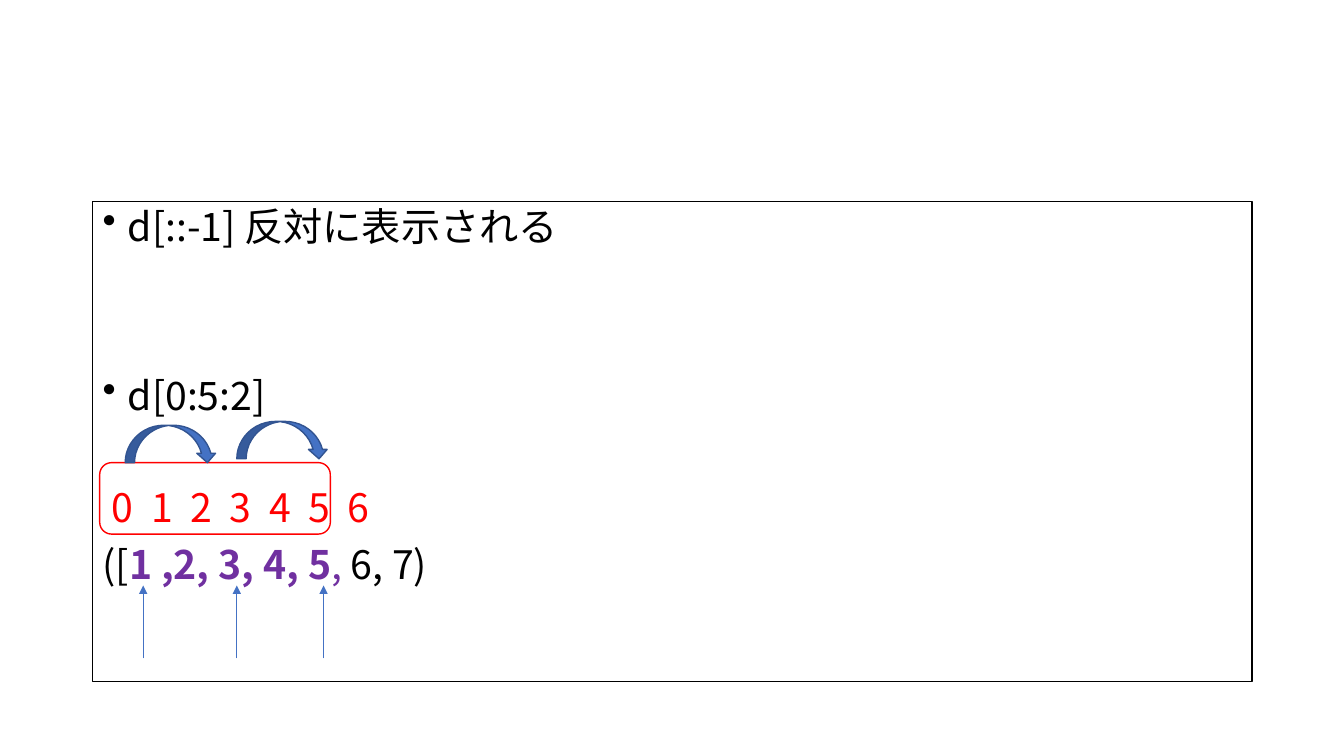
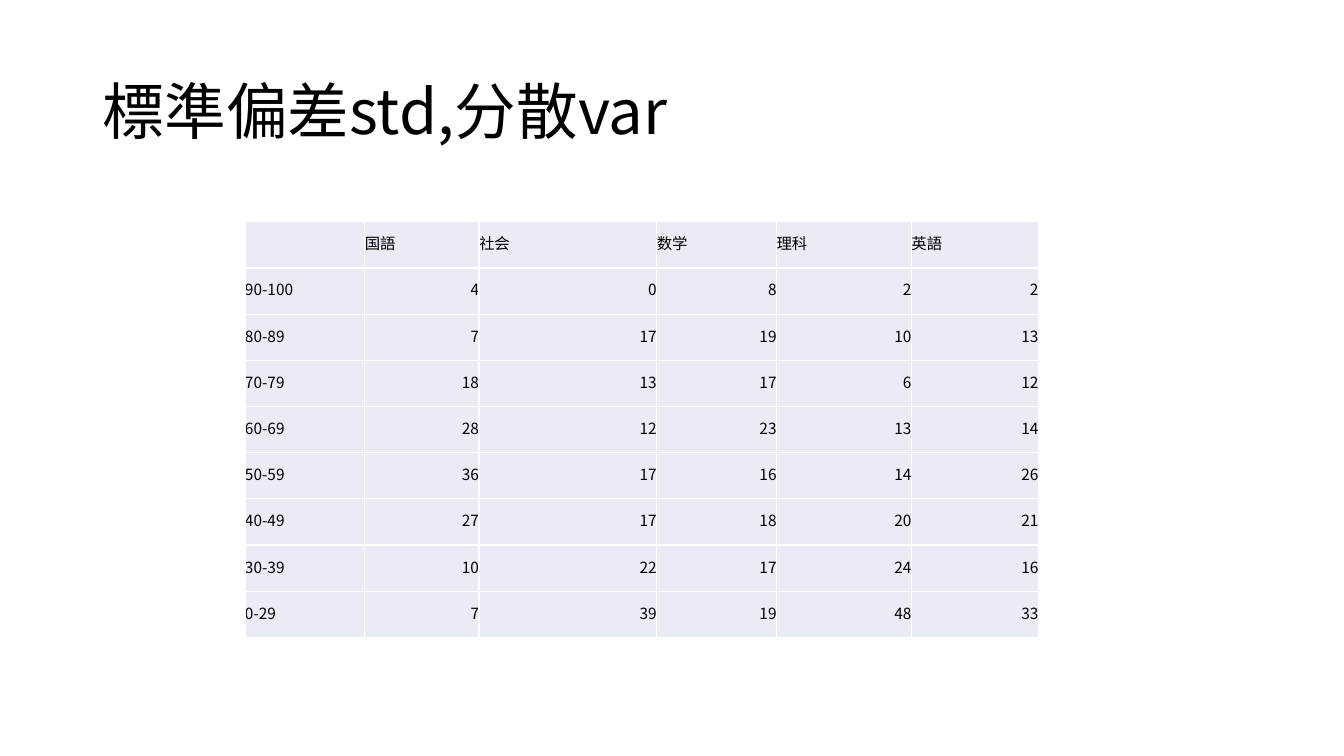
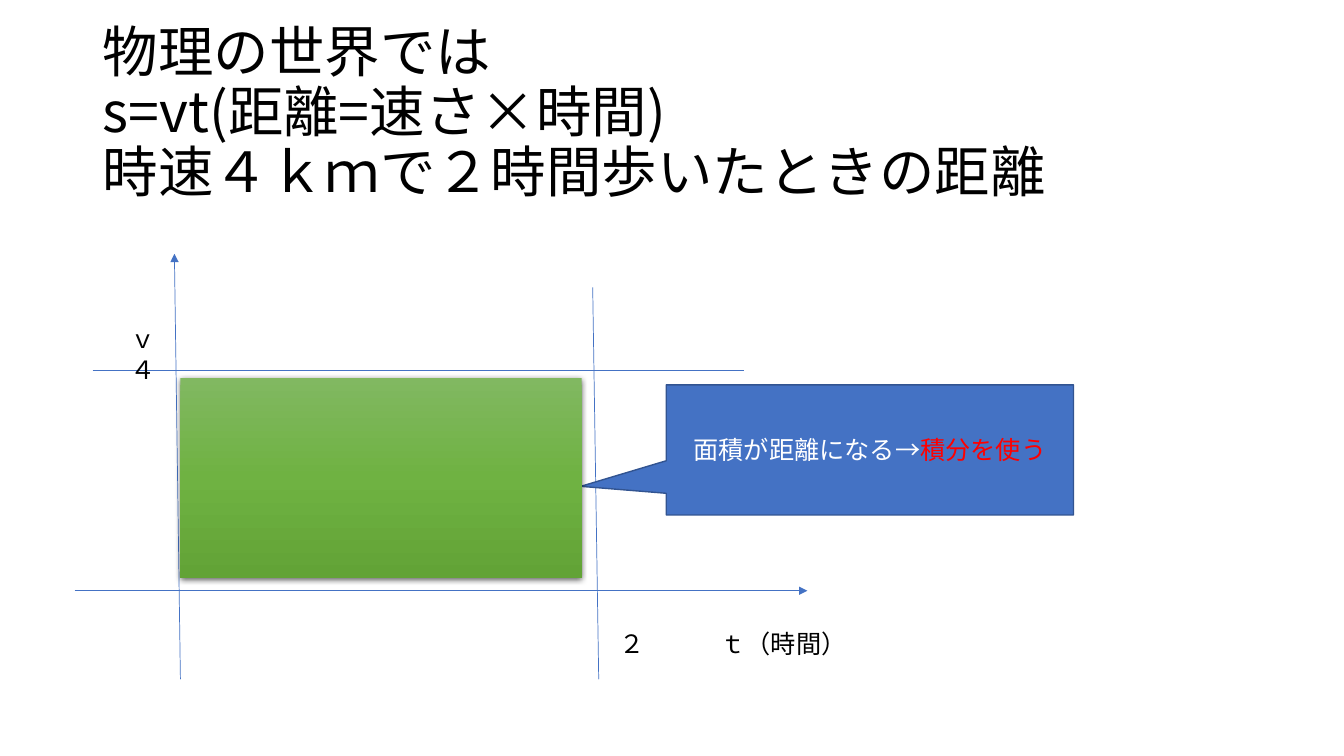
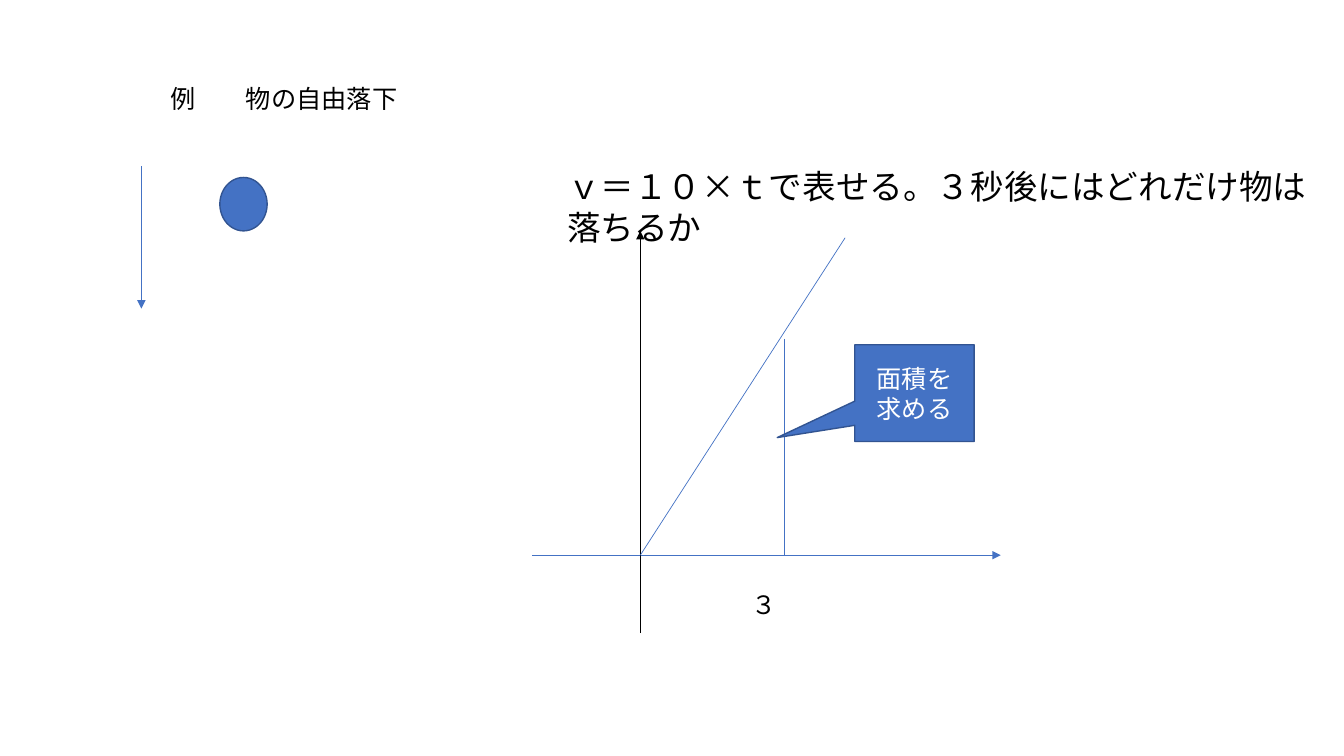
from copy import deepcopy
from dataclasses import dataclass

from lxml.etree import SubElement
from pptx import Presentation
from pptx.dml.color import RGBColor
from pptx.enum.shapes import MSO_CONNECTOR, MSO_SHAPE
from pptx.enum.text import MSO_ANCHOR, MSO_AUTO_SIZE, PP_ALIGN
from pptx.oxml.ns import qn
from pptx.util import Inches, Pt


@dataclass(frozen=True)
class Theme:
    font: str = "Noto Sans CJK JP"
    ink: str = "000000"
    paper: str = "FFFFFF"
    blue: str = "4472C4"
    edge: str = "325491"
    red: str = "FF0000"
    plum: str = "7030A0"
    cell: str = "E9EBF5"
    green: tuple = ("81B861", "6FB242", "62A336")
    title: float = 44
    long: float = 39.6
    body: float = 28
    ask: float = 24
    note: float = 18
    grid: float = 11
    thin: float = 0.5
    rule: float = 1
    lead: float = 1.2
    tight: float = 1.08
    gap: float = 10


T = Theme()


@dataclass(frozen=True)
class Box:
    x: float
    y: float
    w: float
    h: float

    def spot(self, x, y):
        return round(self.x + self.w * x / 100), round(self.y + self.h * y / 100)

    def inner(self, x, y, w, h):
        return Box(*self.spot(x, y), round(self.w * w / 100), round(self.h * h / 100))

    def rect(self):
        return self.x, self.y, self.w, self.h


def put(item, **vals):
    for key, val in vals.items():
        setattr(item, key, val)


def add(root, tag, **vals):
    return SubElement(root, qn(tag), {key: str(val) for key, val in vals.items()})


def tint(line, color, width):
    line.color.rgb = RGBColor.from_string(color)
    line.width = Pt(width)


def flood(fill, color):
    fill.solid()
    fill.fore_color.rgb = RGBColor.from_string(color)


def write(para, runs, size, color=T.ink, lead=T.lead, tabs=(), bullet=False, **form):
    put(para, line_spacing=Pt(size * lead), **form)
    for run in [runs] if isinstance(runs, str) else runs:
        text, hue, bold = (run, color, False) if isinstance(run, str) else run
        if text == "\v":
            para.add_line_break()
            continue
        piece = para.add_run()
        piece.text = text
        put(piece.font, name=T.font, size=Pt(size), bold=bold)
        piece.font.color.rgb = RGBColor.from_string(hue)
        add(piece.font._element, "a:ea", typeface=T.font)
    props = para._p.get_or_add_pPr()
    if bullet:
        props.set("marL", str(Inches(0.25)))
        props.set("indent", str(-Inches(0.25)))
        add(props, "a:buChar", char="•")
    if tabs:
        stops = add(props, "a:tabLst")
        for stop in tabs:
            add(stops, "a:tab", pos=Inches(stop), algn="l")


def lines(frame, paras, size, **form):
    put(frame, word_wrap=True, auto_size=MSO_AUTO_SIZE.NONE)
    for num, runs in enumerate(paras):
        para = frame.add_paragraph() if num else frame.paragraphs[0]
        write(para, runs, size, **form)


def label(slide, box, paras, size=T.note, **form):
    lines(slide.shapes.add_textbox(*box.rect()).text_frame, paras, size, **form)


def shape(slide, kind, box, fill=T.blue, edge=T.edge):
    item = slide.shapes.add_shape(kind, *box.rect())
    item.shadow.inherit = False
    if fill:
        flood(item.fill, fill)
    else:
        item.fill.background()
    if edge:
        tint(item.line, edge, T.rule)
    else:
        item.line.fill.background()
    return item


def line(slide, box, start, end, color=T.blue, arrow=False):
    item = slide.shapes.add_connector(
        MSO_CONNECTOR.STRAIGHT, *box.spot(*start), *box.spot(*end))
    tint(item.line, color, T.thin)
    if arrow:
        add(item.line._get_or_add_ln(), "a:tailEnd", type="triangle")
    add(item._element.spPr, "a:effectLst")


def callout(slide, box, runs, tip):
    item = shape(slide, MSO_SHAPE.RECTANGULAR_CALLOUT, box)
    for num, val in enumerate(tip):
        item.adjustments[num] = val
    item.text_frame.vertical_anchor = MSO_ANCHOR.MIDDLE
    lines(item.text_frame, [runs], T.note, color=T.paper, alignment=PP_ALIGN.CENTER)


def head(slide, box, runs, size):
    item = slide.shapes.title
    put(item, **dict(zip(("left", "top", "width", "height"), box.rect())))
    item.text_frame.vertical_anchor = MSO_ANCHOR.MIDDLE
    lines(item.text_frame, [runs], size, lead=T.tight, alignment=PP_ALIGN.LEFT)


def slices(slide, box):
    panel = slide.shapes.add_textbox(*box.rect())
    flood(panel.fill, T.paper)
    tint(panel.line, T.ink, T.rule)
    frame = panel.text_frame
    put(frame, word_wrap=True, auto_size=MSO_AUTO_SIZE.NONE)
    pitch = T.body * T.tight + T.gap
    digits = "".join("\t" + str(num) for num in range(7))
    values = ["([", ("1 ,2, 3, 4, 5", T.plum, True), (", ", T.plum, False), "6, 7)"]
    rows = [
        ("d[::-1] 反対に表示される", 0, dict(bullet=True)),
        ("d[0:5:2]", 2, dict(bullet=True)),
        (digits, 1, dict(color=T.red, tabs=[0.09 + 0.39 * num for num in range(7)])),
        (values, 0, {}),
    ]
    for num, (runs, skip, form) in enumerate(rows):
        para = frame.add_paragraph() if num else frame.paragraphs[0]
        write(para, runs, T.body, lead=T.tight,
              space_before=Pt(T.gap + skip * pitch), **form)
    for x in (4.35, 12.43, 19.91):
        line(slide, box, (x, 95.2), (x, 80), arrow=True)
    shape(slide, MSO_SHAPE.ROUNDED_RECTANGLE,
          box.inner(0.6, 54.4, 19.9, 14.9), None, T.red)
    for x, y in ((2.8, 46.6), (12.43, 45.8)):
        shape(slide, MSO_SHAPE.CURVED_DOWN_ARROW, box.inner(x, y, 7.9, 7.8))


def scores(slide, box):
    names = ["", "国語", "社会", "数学", "理科", "英語"]
    bands = ["90-100", "80-89", "70-79", "60-69", "50-59", "40-49", "30-39", "0-29"]
    counts = [
        (4, 0, 8, 2, 2), (7, 17, 19, 10, 13), (18, 13, 17, 6, 12),
        (28, 12, 23, 13, 14), (36, 17, 16, 14, 26), (27, 17, 18, 20, 21),
        (10, 22, 17, 24, 16), (7, 39, 19, 48, 33),
    ]
    rows = [names] + [[band, *vals] for band, vals in zip(bands, counts)]
    table = slide.shapes.add_table(len(rows), len(names), *box.rect()).table
    put(table, first_row=False, horz_banding=False)
    for col, share in zip(table.columns, (15.1, 14.4, 22.4, 15.1, 17, 16)):
        col.width = round(box.w * share / 100)
    for r, row in enumerate(rows):
        for c, val in enumerate(row):
            cell = table.cell(r, c)
            put(cell, margin_left=0, margin_right=0, margin_top=0, margin_bottom=0,
                vertical_anchor=MSO_ANCHOR.MIDDLE)
            props = cell._tc.get_or_add_tcPr()
            for side in "LRTB":
                edge = add(props, "a:ln" + side, w=Pt(T.rule))
                add(add(edge, "a:solidFill"), "a:srgbClr", val=T.paper)
            flood(cell.fill, T.cell)
            side = PP_ALIGN.RIGHT if r and c else PP_ALIGN.LEFT
            if val != "":
                write(cell.text_frame.paragraphs[0], str(val), T.grid, alignment=side)


def field(slide, box):
    item = shape(slide, MSO_SHAPE.RECTANGLE, box, None, None)
    fill = item.fill
    fill.gradient()
    fill.gradient_angle = 270
    top, mid, low = T.green
    first, last = fill.gradient_stops
    for stop, color, pos in ((first, mid, 0.5), (last, low, 1)):
        stop.color.rgb = RGBColor.from_string(color)
        stop.position = pos
    first._gs.addprevious(deepcopy(first._gs))
    start = fill.gradient_stops[0]
    start.color.rgb = RGBColor.from_string(top)
    start.position = 0
    glow = add(item._element.spPr.find(qn("a:effectLst")), "a:outerShdw",
               blurRad=Pt(4.5), dist=Pt(1.5), dir=5400000, algn="ctr", rotWithShape=0)
    add(add(glow, "a:srgbClr", val=T.ink), "a:alpha", val=63000)


def walk(slide, box):
    line(slide, box, (2.2, 26.2), (66.8, 26.2))
    line(slide, box, (51.8, 7.8), (52.4, 94.2))
    line(slide, box, (10.9, 94.2), (10.3, 0.4), arrow=True)
    line(slide, box, (0.4, 74.7), (73.1, 74.7), arrow=True)
    label(slide, box.inner(5, 14.7, 4.5, 15.8), ["ｖ", "４"])
    label(slide, box.inner(53.5, 81.8, 24.7, 8.9), ["２\tｔ（時間）"], tabs=[1])
    callout(slide, box.inner(59.1, 29.3, 40.4, 28.7),
            ["面積が距離になる→", ("積分を使う", T.red, False)], (-0.71, 0.28))
    field(slide, box.inner(10.9, 27.8, 39.8, 44))


def drop(slide, box):
    label(slide, box.inner(9.7, 1.3, 92.5, 16.7), ["例\t物の自由落下"], tabs=[0.75])
    shape(slide, MSO_SHAPE.OVAL, box.inner(31.8, 42.1, 17.6, 22.1))
    line(slide, box, (2.6, 37.5), (2.6, 96.3), arrow=True)


def graph(slide, box):
    root = (14.4, 83.5)
    label(slide, box.inner(4.1, 2.1, 95.1, 19),
          ["ｖ＝１０×ｔで表せる。３秒後にはどれだけ物は", "落ちるか"], T.ask)
    line(slide, box, (1, root[1]), (59.1, root[1]), arrow=True)
    line(slide, box, (root[0], 99.6), (root[0], 16.5), T.ink, True)
    line(slide, box, root, (39.8, 17.9))
    line(slide, box, (32.3, 38.8), (32.3, root[1]))
    label(slide, box.inner(27, 89.6, 5.6, 8.3), ["３"])
    callout(slide, box.inner(41, 40, 14.8, 20), "面積を求める", (-1.15, 0.46))


def main():
    deck = Presentation()
    put(deck, slide_width=Inches(13.33), slide_height=Inches(7.5))
    page = Box(0, 0, deck.slide_width, deck.slide_height)
    top = page.inner(6.9, 5.33, 86.25, 19.33)
    titled, blank = deck.slide_layouts[5], deck.slide_layouts[6]

    slices(deck.slides.add_slide(blank), page.inner(6.9, 26.67, 86.25, 63.47))

    slide = deck.slides.add_slide(titled)
    head(slide, top, "標準偏差std,分散var", T.title)
    scores(slide, page.inner(18.23, 29.33, 59.04, 55))

    slide = deck.slides.add_slide(titled)
    head(slide, top, ["物理の世界では", "\v", "s=vt(距離=速さ×時間)", "\v",
                      "時速４ｋｍで２時間歩いたときの距離"], T.long)
    walk(slide, page.inner(5.25, 33.33, 75, 60))

    slide = deck.slides.add_slide(blank)
    drop(slide, page.inner(10, 10, 20, 32))
    graph(slide, page.inner(39, 20, 60, 64))
    deck.save("out.pptx")


main()
